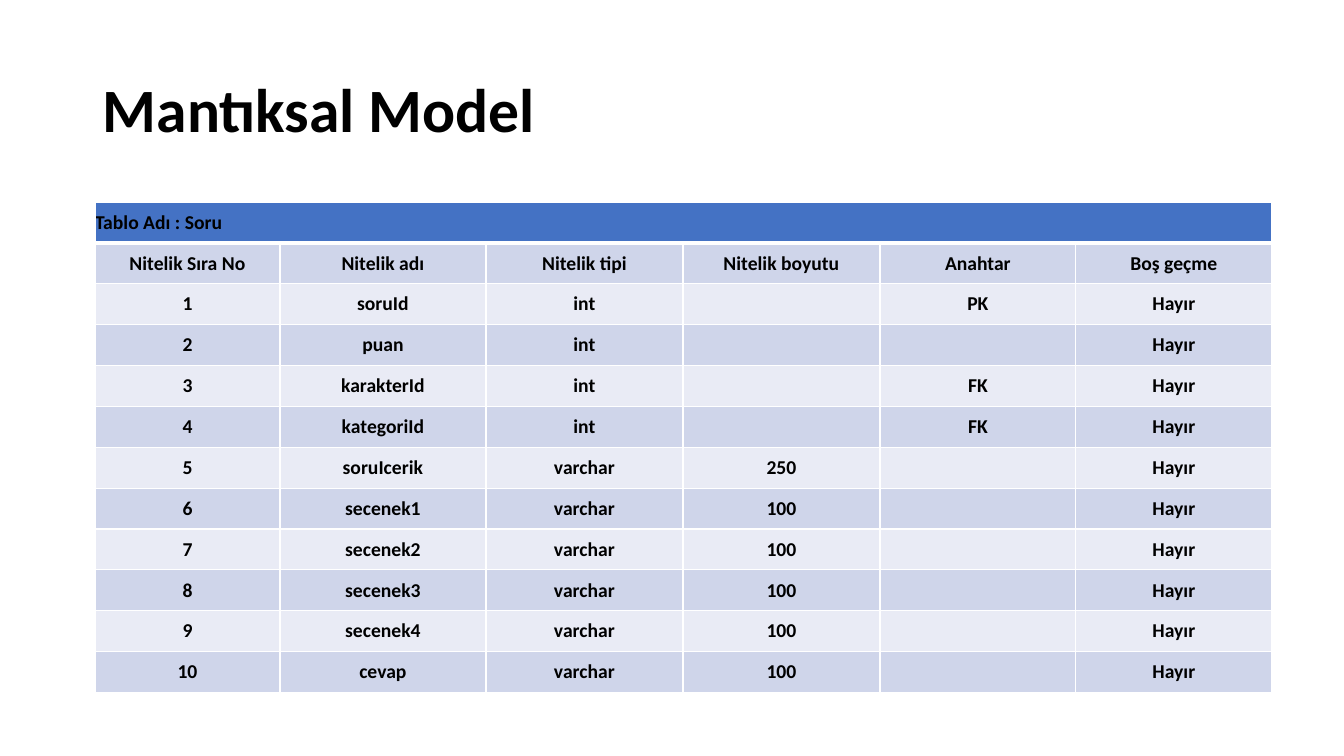
from dataclasses import dataclass

from lxml import etree
from pptx import Presentation
from pptx import util as u
from pptx.dml.color import RGBColor
from pptx.enum import text
from pptx.oxml import ns


@dataclass(frozen=True)
class Theme:
    """Colours, font and type sizes of the slide."""
    font: str = "Calibri"
    ink: str = "000000"
    rule: str = "FFFFFF"
    heading: str = "4472C4"
    bands: tuple = ("E9EBF5", "CFD5EA")
    title_size: int = 44
    table_size: int = 14
    thin: int = 1
    thick: int = 3


THEME = Theme()
COLUMN_WIDTHS = (185, 206, 197, 197, 196, 196)
ROW_HEIGHT = 4.87 * 100.8 / 12
HEADINGS = ("Nitelik Sıra No", "Nitelik adı", "Nitelik tipi",
            "Nitelik boyutu", "Anahtar", "Boş geçme")
ATTRIBUTES = (
    ("soruId", "int", "", "PK"),
    ("puan", "int", "", ""),
    ("karakterId", "int", "", "FK"),
    ("kategoriId", "int", "", "FK"),
    ("soruIcerik", "varchar", "250", ""),
    ("secenek1", "varchar", "100", ""),
    ("secenek2", "varchar", "100", ""),
    ("secenek3", "varchar", "100", ""),
    ("secenek4", "varchar", "100", ""),
    ("cevap", "varchar", "100", ""),
)


def px(length):
    """Turn pixels into EMU."""
    return u.Emu(round(length * 914400 / 100.8))


def write(paragraph, words, size):
    """Add one bold run in the theme's font."""
    run = paragraph.add_run()
    run.text = words
    run.font.name = THEME.font
    run.font.size = u.Pt(size)
    run.font.bold = True
    run.font.color.rgb = RGBColor.from_string(THEME.ink)


def add_title(slide, words):
    """Add the slide title."""
    frame = slide.shapes.add_textbox(px(93), px(40), px(1159), px(146)).text_frame
    frame.word_wrap = True
    frame.vertical_anchor = text.MSO_ANCHOR.MIDDLE
    frame.paragraphs[0].line_spacing = 0.9
    write(frame.paragraphs[0], words, THEME.title_size)


def rule_cell(cell, top, bottom):
    """Draw the four borders of a cell, widths in points."""
    properties = cell._tc.get_or_add_tcPr()
    widths = {"L": THEME.thin, "R": THEME.thin, "T": top, "B": bottom}
    for side, width in widths.items():
        line = etree.SubElement(properties, ns.qn(f"a:ln{side}"), w=str(u.Pt(width)))
        fill = etree.SubElement(line, ns.qn("a:solidFill"))
        etree.SubElement(fill, ns.qn("a:srgbClr"), val=THEME.rule)


def fill_cell(cell, words, colour, alignment, top, bottom):
    """Set the borders, fill and wording of a cell."""
    rule_cell(cell, top, bottom)
    cell.fill.solid()
    cell.fill.fore_color.rgb = RGBColor.from_string(colour)
    cell.margin_left = cell.margin_right = cell.margin_top = cell.margin_bottom = 0
    cell.vertical_anchor = text.MSO_ANCHOR.MIDDLE
    paragraph = cell.text_frame.paragraphs[0]
    paragraph.alignment = alignment
    if words:
        write(paragraph, words, THEME.table_size)


def add_attribute_table(slide, name):
    """Add the table of attributes under its merged name row."""
    numbered = [(str(number), *attribute, "Hayır")
                for number, attribute in enumerate(ATTRIBUTES, 1)]
    rows = [(name, *[""] * (len(HEADINGS) - 1)), HEADINGS, *numbered]
    table = slide.shapes.add_table(
        len(rows), len(HEADINGS), px(95), px(202),
        px(sum(COLUMN_WIDTHS)), px(ROW_HEIGHT * len(rows))).table
    for column, width in zip(table.columns, COLUMN_WIDTHS):
        column.width = px(width)
    for index, values in enumerate(rows):
        table.rows[index].height = px(ROW_HEIGHT)
        colour = THEME.bands[index % 2] if index else THEME.heading
        alignment = text.PP_ALIGN.CENTER if index else text.PP_ALIGN.LEFT
        top = THEME.thick if index == 1 else THEME.thin
        bottom = THEME.thin if index else THEME.thick
        for cell, words in zip(table.rows[index].cells, values):
            fill_cell(cell, words, colour, alignment, top, bottom)
    table.cell(0, 0).merge(table.cell(0, len(HEADINGS) - 1))


def main():
    """Build and save the slide."""
    deck = Presentation()
    deck.slide_width, deck.slide_height = px(1344), px(756)
    slide = deck.slides.add_slide(deck.slide_layouts[6])
    add_title(slide, "Mantıksal Model")
    add_attribute_table(slide, "Tablo Adı : Soru")
    deck.save("out.pptx")


main()
